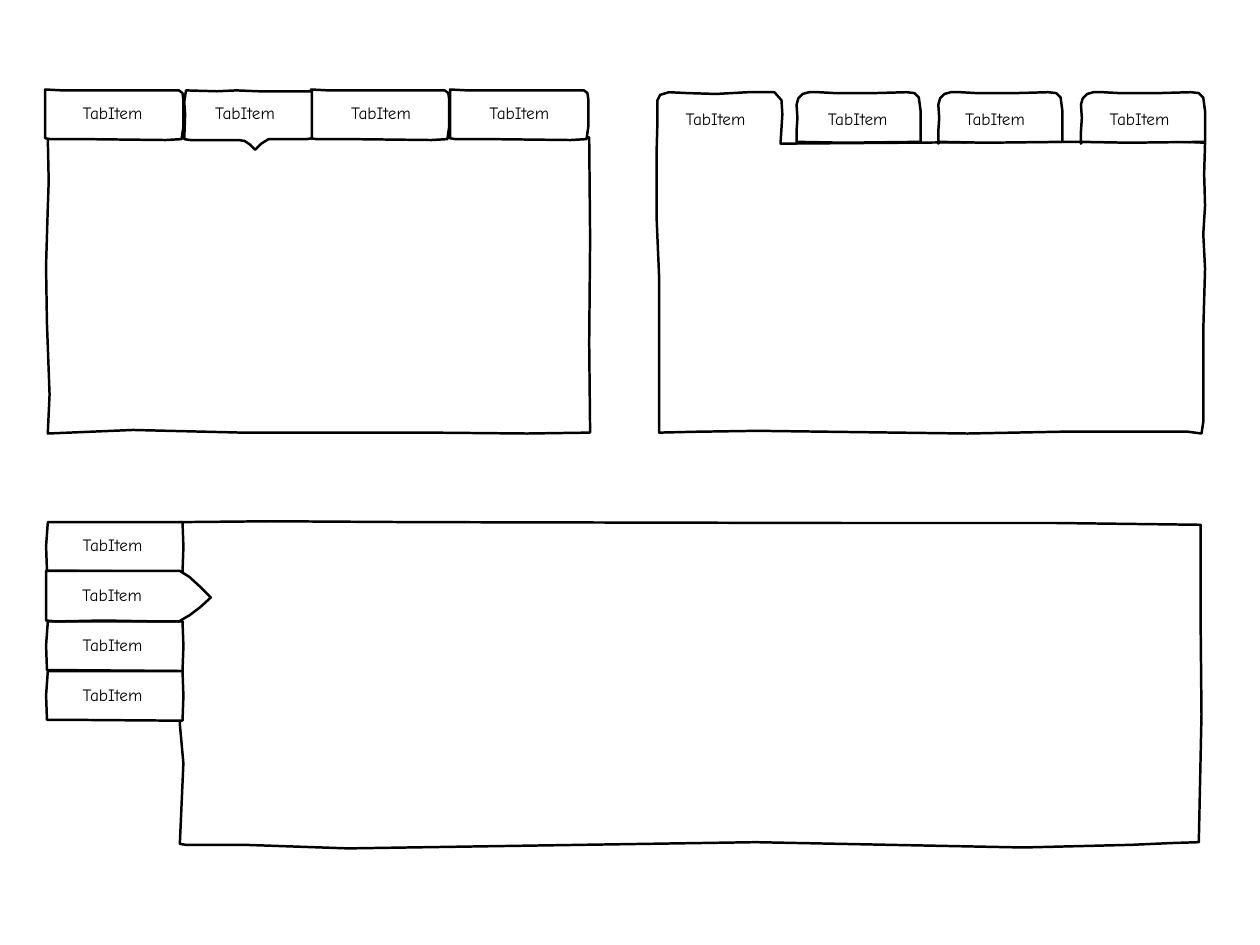
from dataclasses import dataclass

from pptx import Presentation
from pptx.dml.color import RGBColor
from pptx.enum.text import MSO_ANCHOR, MSO_AUTO_SIZE, PP_ALIGN
from pptx.shapes.shapetree import SlideShapes
from pptx.util import Pt

PX = 9144  # 100 px to the inch
BLACK = RGBColor(0, 0, 0)
WHITE = RGBColor(255, 255, 255)
CENTER = PP_ALIGN.CENTER
MIDDLE = MSO_ANCHOR.MIDDLE
GROW = MSO_AUTO_SIZE.SHAPE_TO_FIT_TEXT

INSET = 4 * PX
FRAME = {"margin_left": INSET, "margin_right": INSET, "margin_top": INSET,
         "margin_bottom": INSET, "vertical_anchor": MIDDLE,
         "word_wrap": False, "auto_size": GROW}
FONT = {"name": "Comic Neue", "size": Pt(14)}

Points = list[tuple[int, int]]

# Panels and selected tabs, placed on the slide
SIDE_PANEL: Points = [
    (203, 589), (305, 588), (470, 589), (958, 590), (1192, 590),
    (1355, 592), (1355, 699), (1356, 806), (1353, 950), (1322, 951),
    (1277, 953), (1155, 956), (853, 950), (393, 957), (276, 953),
    (210, 953), (203, 952), (207, 861), (203, 817), (203, 771),
    (206, 681), (201, 592)]
TOP_PANEL: Points = [
    (54, 155), (204, 154), (366, 155), (665, 155), (666, 270),
    (665, 387), (666, 488), (595, 489), (484, 488), (273, 488),
    (150, 485), (54, 489), (56, 445), (53, 364), (52, 300), (54, 234),
    (55, 205)]
ROUND_PANEL: Points = [
    (881, 160), (883, 129), (882, 113), (874, 104), (844, 104),
    (808, 106), (776, 105), (755, 104), (745, 107), (742, 113),
    (742, 138), (741, 172), (741, 245), (744, 315), (744, 384),
    (744, 488), (786, 487), (855, 486), (1011, 488), (1092, 489),
    (1196, 487), (1341, 487), (1356, 489), (1358, 476), (1358, 373),
    (1360, 303), (1358, 264), (1360, 232), (1359, 196), (1360, 161),
    (1315, 159), (1268, 160), (1155, 160), (881, 162)]
TOP_PICK: Points = [
    (210, 102), (245, 103), (267, 102), (292, 103), (352, 103),
    (352, 156), (346, 157), (303, 157), (295, 162), (288, 169),
    (282, 163), (276, 159), (269, 158), (215, 158), (208, 157),
    (209, 129), (208, 115)]
SIDE_PICK: Points = [
    (52, 644), (95, 644), (203, 644), (214, 651), (226, 662),
    (238, 674), (226, 685), (214, 694), (202, 701), (178, 701),
    (116, 700), (64, 701), (52, 700)]

# Plain tabs, measured from their own corner
TOP_TAB: Points = [
    (1, 0), (20, 1), (152, 1), (156, 4), (157, 11), (157, 42),
    (155, 56), (137, 57), (45, 56), (7, 56), (1, 55), (1, 35)]
ROUND_TAB: Points = [
    (3, 61), (3, 47), (4, 32), (3, 17), (5, 10), (10, 5), (17, 3),
    (28, 3), (46, 4), (91, 4), (127, 3), (136, 4), (141, 9),
    (143, 24), (143, 59), (57, 60), (4, 59)]
SIDE_TAB: Points = [
    (3, 1), (131, 1), (155, 1), (156, 29), (155, 57), (17, 56),
    (2, 56), (1, 28)]


@dataclass(frozen=True)
class Label:
    left: int
    top: int
    width: int = 78
    height: int = 32
    text: str = "TabItem"


@dataclass(frozen=True)
class Part:
    outline: Points
    label: Label | None = None
    left: int = 0
    top: int = 0


PARTS = [
    Part(SIDE_PANEL),
    Part(TOP_PANEL),
    *(Part(TOP_TAB, Label(text_left, 111), left, 101)
      for left, text_left in ((50, 88), (350, 391), (507, 547))),
    Part(TOP_PICK, Label(234, 111, 85)),
    Part(ROUND_PANEL, Label(765, 118, 85)),
    *(Part(ROUND_TAB, Label(text_left, 118), left, 101)
      for left, text_left in ((896, 929), (1056, 1084), (1217, 1247))),
    *(Part(SIDE_TAB, Label(88, text_top), 51, top)
      for top, text_top in ((588, 598), (700, 711), (756, 768))),
    Part(SIDE_PICK, Label(84, 655, 85)),
]


def assign(target: object, values: dict) -> None:
    for name, value in values.items():
        setattr(target, name, value)


def draw_label(shapes: SlideShapes, label: Label) -> None:
    box = shapes.add_textbox(label.left * PX, label.top * PX,
                             label.width * PX, label.height * PX)
    frame = box.text_frame
    assign(frame, FRAME)
    line = frame.paragraphs[0]
    line.alignment = CENTER
    run = line.add_run()
    run.text = label.text
    assign(run.font, FONT)
    run.font.color.rgb = BLACK


def draw_part(shapes: SlideShapes, part: Part) -> None:
    spots = [(x + part.left, y + part.top) for x, y in part.outline]
    pen = shapes.build_freeform(*spots[0], scale=PX)
    pen.add_line_segments(spots[1:], close=True)
    shape = pen.convert_to_shape()
    shape.shadow.inherit = False
    shape.fill.solid()
    shape.fill.fore_color.rgb = WHITE
    shape.line.color.rgb = BLACK
    shape.line.width = Pt(2)
    if part.label:
        draw_label(shapes, part.label)


def main() -> None:
    deck = Presentation()
    assign(deck, {"slide_width": 1422 * PX, "slide_height": 1066 * PX})
    slide = deck.slides.add_slide(deck.slide_layouts[6])
    for part in PARTS:
        draw_part(slide.shapes, part)
    deck.save("out.pptx")


if __name__ == "__main__":
    main()
